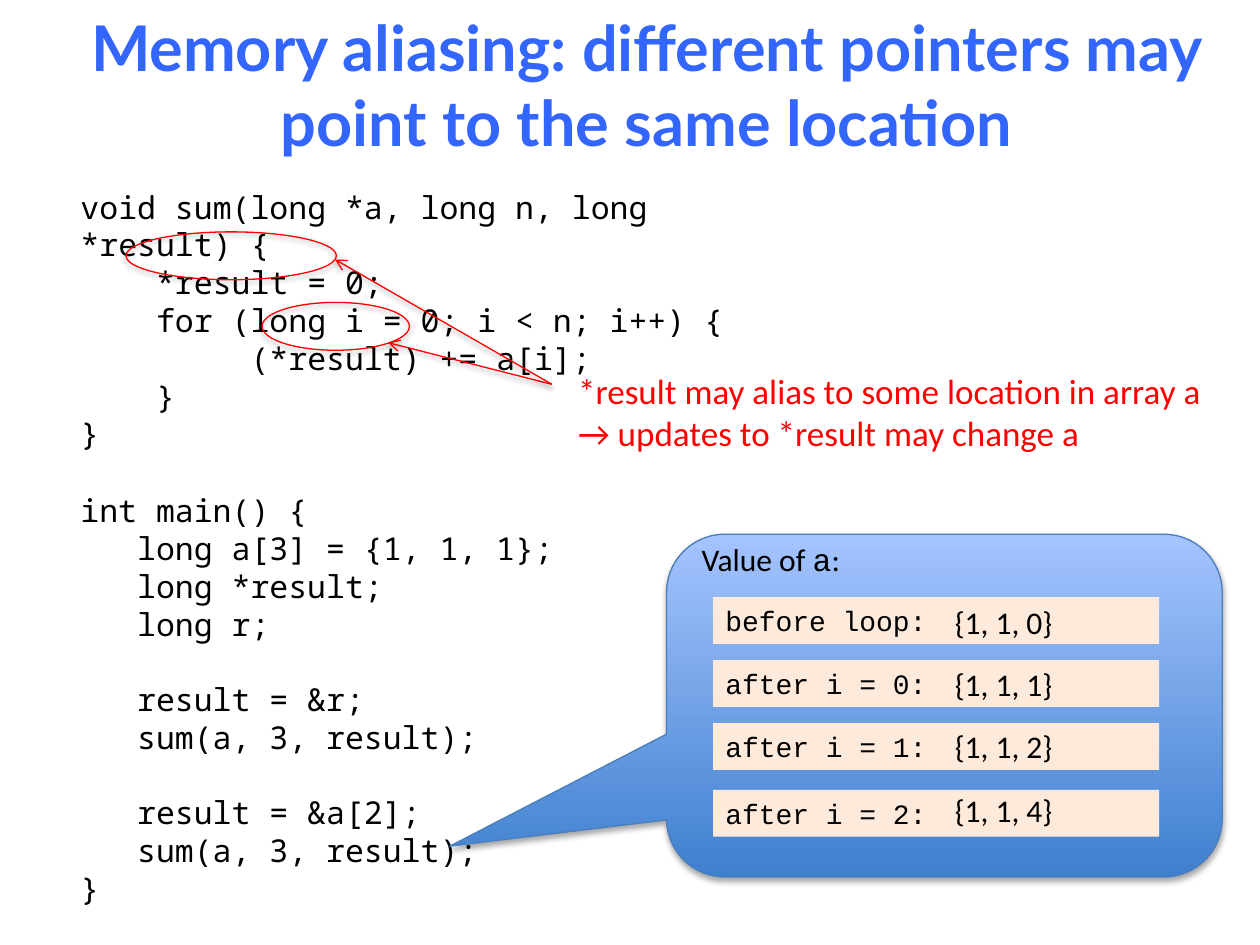
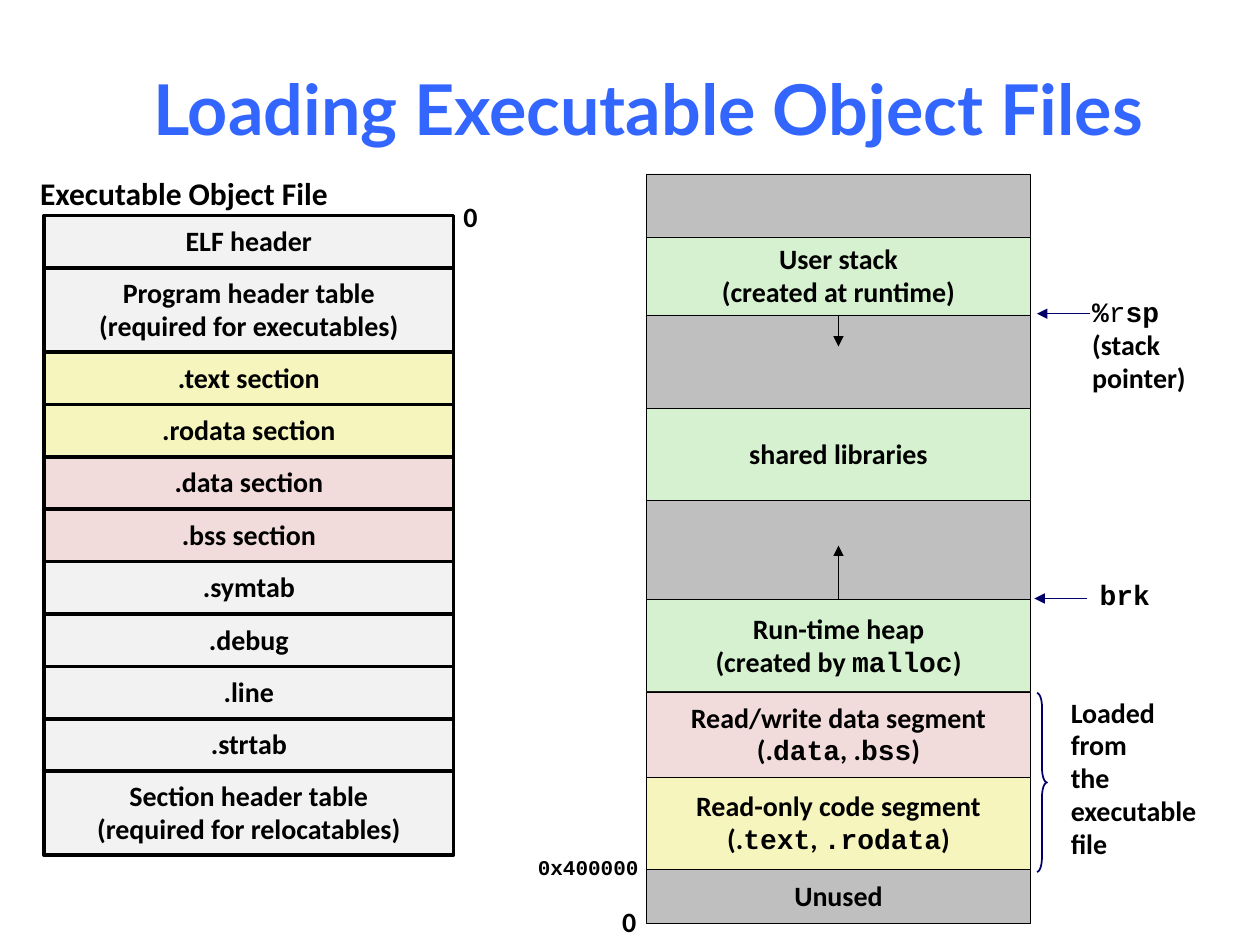
from lxml import etree
from pptx import Presentation
from pptx import util as u
from pptx.dml import color
from pptx.enum import shapes, text
from pptx.oxml import ns

COLORS = {
    "title": "3366FF", "ink": "000000", "alert": "FF0000", "navy": "000066",
    "bar": "FDEADA", "callout_edge": "4B7EBC", "callout_low": "3F80CE",
    "callout_high": "A4C4FF", "plain": "F2F2F2", "code": "F6F5BD",
    "data": "F2DCDB", "gap": "BFBFBF", "dynamic": "D5F1CF",
}
COLUMNS, ROWS = 100, 75
BODY, MONO, LISTING, HEADING = "Calibri", "Courier New", "Noto Sans Mono", "Lato"


class Deck:
    """Holds the shared style and the current slide on a 100 by 75 grid."""

    def __init__(self):
        self.prs = Presentation()
        self.prs.slide_width, self.prs.slide_height = u.Inches(10), u.Inches(7.5)
        self.slide = None

    def x(self, columns):
        return round(self.prs.slide_width * columns / COLUMNS)

    def y(self, rows):
        return round(self.prs.slide_height * rows / ROWS)

    def place(self, box):
        left, top, width, height = box
        return self.x(left), self.y(top), self.x(width), self.y(height)

    def rgb(self, name):
        return color.RGBColor.from_string(COLORS[name])

    def font(self, run, size, face=BODY, ink="ink", bold=False):
        run.font.size, run.font.name, run.font.bold = u.Pt(size), face, bold
        run.font.color.rgb = self.rgb(ink)

    def set_lines(self, frame, lines, size, face=BODY, ink="ink", bold=False,
                  align=text.PP_ALIGN.LEFT, anchor=text.MSO_ANCHOR.TOP, spacing=None):
        """Fill a frame; backticks switch a line to the monospaced font."""
        frame.word_wrap, frame.vertical_anchor = True, anchor
        frame.auto_size = text.MSO_AUTO_SIZE.NONE
        frame.text = "\n".join(lines)
        for paragraph, line in zip(frame.paragraphs, lines):
            paragraph.alignment, paragraph.line_spacing = align, spacing
            paragraph.text = ""
            for index, part in enumerate(line.split("`")):
                if part:
                    run = paragraph.add_run()
                    run.text = part
                    self.font(run, size, MONO if index % 2 else face, ink, bold)

    def add_slide(self, heading, box, size):
        self.slide = self.prs.slides.add_slide(self.prs.slide_layouts[5])
        title = self.slide.shapes.title
        title.left, title.top, title.width, title.height = self.place(box)
        self.set_lines(title.text_frame, [heading], size, HEADING, "title", True,
                       text.PP_ALIGN.CENTER, text.MSO_ANCHOR.MIDDLE)

    def label(self, box, lines, size, **style):
        area = self.slide.shapes.add_textbox(*self.place(box))
        self.set_lines(area.text_frame, lines, size, **style)
        return area.text_frame

    def listing(self, box, blocks, size=18):
        """Set blocks of code, one empty line's height apart."""
        frame = self.label(box, [line for block in blocks for line in block],
                           size, face=LISTING)
        start = 0
        for block in blocks[:-1]:
            start += len(block)
            frame.paragraphs[start].space_before = u.Pt(21.5)

    def shape(self, kind, box, fill=None, edge=None, weight=0.75, adjust=()):
        form = self.slide.shapes.add_shape(kind, *self.place(box))
        form.shadow.inherit = False
        for index, value in enumerate(adjust):
            form.adjustments[index] = value
        if fill:
            form.fill.solid()
            form.fill.fore_color.rgb = self.rgb(fill)
        else:
            form.fill.background()
        if edge:
            form.line.color.rgb, form.line.width = self.rgb(edge), u.Pt(weight)
        else:
            form.line.fill.background()
        return form

    def arrow(self, start, end, ink, weight, head="triangle", source=None):
        """Draw an arrow, joined to a (shape, site) source when there is one."""
        line = self.slide.shapes.add_connector(
            shapes.MSO_CONNECTOR.STRAIGHT, self.x(start[0]), self.y(start[1]),
            self.x(end[0]), self.y(end[1]))
        if source:
            line.begin_connect(*source)
        line.line.color.rgb, line.line.width = self.rgb(ink), u.Pt(weight)
        properties = line._element.spPr
        etree.SubElement(properties.find(ns.qn("a:ln")), ns.qn("a:tailEnd"), type=head)
        etree.SubElement(properties, ns.qn("a:effectLst"))
        return line

    def shadow(self, form, opacity=35, distance=1.8):
        effects = form._element.spPr.find(ns.qn("a:effectLst"))
        outer = etree.SubElement(
            effects, ns.qn("a:outerShdw"), blurRad=str(u.Pt(3.1)),
            dist=str(u.Pt(distance)), dir="5400000", rotWithShape="0")
        tint = etree.SubElement(outer, ns.qn("a:srgbClr"), val=COLORS["ink"])
        etree.SubElement(tint, ns.qn("a:alpha"), val=str(opacity * 1000))

    def stack(self, left, top, width, weight, cells):
        """Pile up (height, fill, lines) cells and return their shapes."""
        pile = []
        for height, fill, lines in cells:
            cell = self.shape(shapes.MSO_SHAPE.RECTANGLE, (left, top, width, height),
                              fill, "ink", weight)
            if lines:
                self.set_lines(cell.text_frame, lines, 16, bold=True, spacing=0.98,
                               align=text.PP_ALIGN.CENTER, anchor=text.MSO_ANCHOR.MIDDLE)
            pile.append(cell)
            top += height
        return pile


def aliasing(deck):
    deck.add_slide("Memory aliasing: different pointers may point to the same location",
                   (3.9, 2.5, 94.8, 8.3), 36)
    deck.listing((5.4, 38.5, 47.6, 34.3), [
        ["int main() {", "   long a[3] = {1, 1, 1};", "   long *result;", "   long r;"],
        ["   result = &r;", "   sum(a, 3, result);"],
        ["   result = &a[2];", "   sum(a, 3, result);", "}"],
    ])

    callout = deck.shape(shapes.MSO_SHAPE.ROUNDED_RECTANGULAR_CALLOUT,
                         (52.9, 42.4, 44.1, 27.2), edge="callout_edge",
                         adjust=(-0.89, 0.41, 0.17))
    callout.fill.gradient()
    callout.fill.gradient_angle = 90
    for stop, tone in zip(callout.fill.gradient_stops, ("callout_low", "callout_high")):
        stop.color.rgb = deck.rgb(tone)
    deck.shadow(callout)
    deck.label((54.7, 42.4, 16, 4), ["Value of `a`:"], 18)

    states = [("before loop:", "{1, 1, 0}", 47.4, 47.4), ("after i = 0:", "{1, 1, 1}", 52.4, 52.3),
              ("after i = 1:", "{1, 1, 2}", 57.4, 57.2), ("after i = 2:", "{1, 1, 4}", 62.7, 62.3)]
    for moment, value, bar_row, value_row in states:
        bar = deck.shape(shapes.MSO_SHAPE.RECTANGLE, (56.6, bar_row, 35.4, 3.7), "bar")
        deck.set_lines(bar.text_frame, [moment], 16, MONO)
        deck.label((74.8, value_row, 12, 4), [value], 18)

    deck.listing((5.4, 14.4, 58.9, 19.2), [
        ["void sum(long *a, long n, long *result) {", "    *result = 0;",
         "    for (long i = 0; i < n; i++) {", "         (*result) += a[i];", "    }", "}"],
    ])
    for ring in ((10, 18.4, 16.7, 3.8), (20.8, 24, 11.7, 3.8)):
        deck.shadow(deck.shape(shapes.MSO_SHAPE.OVAL, ring, edge="alert"))
    for use in ((30.8, 27.2), (26.6, 20.6)):
        pointer = deck.arrow((43.8, 30.5), use, "alert", 0.75, "arrow")
        deck.shadow(pointer, 38, 1.6)
    deck.label((44.9, 28.8, 53, 7.7), ["*result may alias to some location in array a",
                                       "→ updates to *result may change a"], 20, ink="alert")


def loading(deck):
    deck.add_slide("Loading Executable Object Files", (3.8, 4.2, 95.3, 8.6), 40)
    bold = {"bold": True, "spacing": 0.98}
    mono = {"bold": True, "spacing": 0.94, "face": MONO}
    single, double = 4.16, 6.67

    deck.label((2.2, 13.5, 28, 4), ["Executable Object File"], 18, **bold)
    sections = [(".text section", "code"), (".rodata section", "code"),
                (".data section", "data"), (".bss section", "data"),
                (".symtab", "plain"), (".debug", "plain"), (".line", "plain"), (".strtab", "plain")]
    deck.stack(3.5, 17.1, 32.5, 2, [
        (single, "plain", ["ELF header"]),
        (double, "plain", ["Program header table", "(required for executables)"]),
        *[(single, fill, [name]) for name, fill in sections],
        (double, "plain", ["Section header table", "(required for relocatables)"]),
    ])
    deck.label((35.8, 15.5, 5, 3.7), ["0"], 16, **bold)

    memory = deck.stack(51.3, 13.8, 30.5, 0.25, [
        (5, "gap", []),
        (6.2, "dynamic", ["User stack", "(created at runtime)"]),
        (7.4, "gap", []),
        (7.3, "dynamic", ["shared libraries"]),
        (7.9, "gap", []),
        (7.3, "dynamic", ["Run-time heap", "(created by `malloc`)"]),
        (6.8, "data", ["Read/write data segment", "(.`data`, .`bss`)"]),
        (7.3, "code", ["Read-only code segment", "(.`text`, `.rodata`)"]),
        (4.3, "gap", ["Unused"]),
    ])
    user_stack, heap = memory[1], memory[5]
    deck.arrow((66.55, 25), (66.55, 27.5), "ink", 0.25, source=(user_stack, 2))
    deck.arrow((66.55, 47.6), (66.55, 43.3), "ink", 0.25, source=(heap, 0))
    deck.arrow((86.5, 24.9), (82.3, 24.9), "navy", 0.25)
    deck.arrow((86.3, 47.5), (82.1, 47.5), "navy", 0.25)

    stack_pointer = deck.label((85.7, 23.1, 12, 8.8), ["`%``r``sp`", "(stack", "pointer)"], 16, **bold)
    stack_pointer.paragraphs[0].line_spacing = 0.94
    stack_pointer.paragraphs[0].runs[1].font.bold = False
    deck.label((86.3, 45.6, 8, 3.6), ["brk"], 16, **mono)
    deck.label((41.7, 67.5, 12, 3), ["0x400000"], 12, **mono)
    deck.label((48.4, 71.4, 5, 3.6), ["0"], 16, **bold)
    deck.shape(shapes.MSO_SHAPE.RIGHT_BRACE, (82.3, 55, 0.8, 14.2), edge="navy",
               weight=1, adjust=(1.42, 0.5))
    deck.label((84, 54.8, 13, 14.2), ["Loaded", "from", "the", "executable", "file"], 16, **bold)


def main():
    deck = Deck()
    aliasing(deck)
    loading(deck)
    deck.prs.save("out.pptx")


if __name__ == "__main__":
    main()
